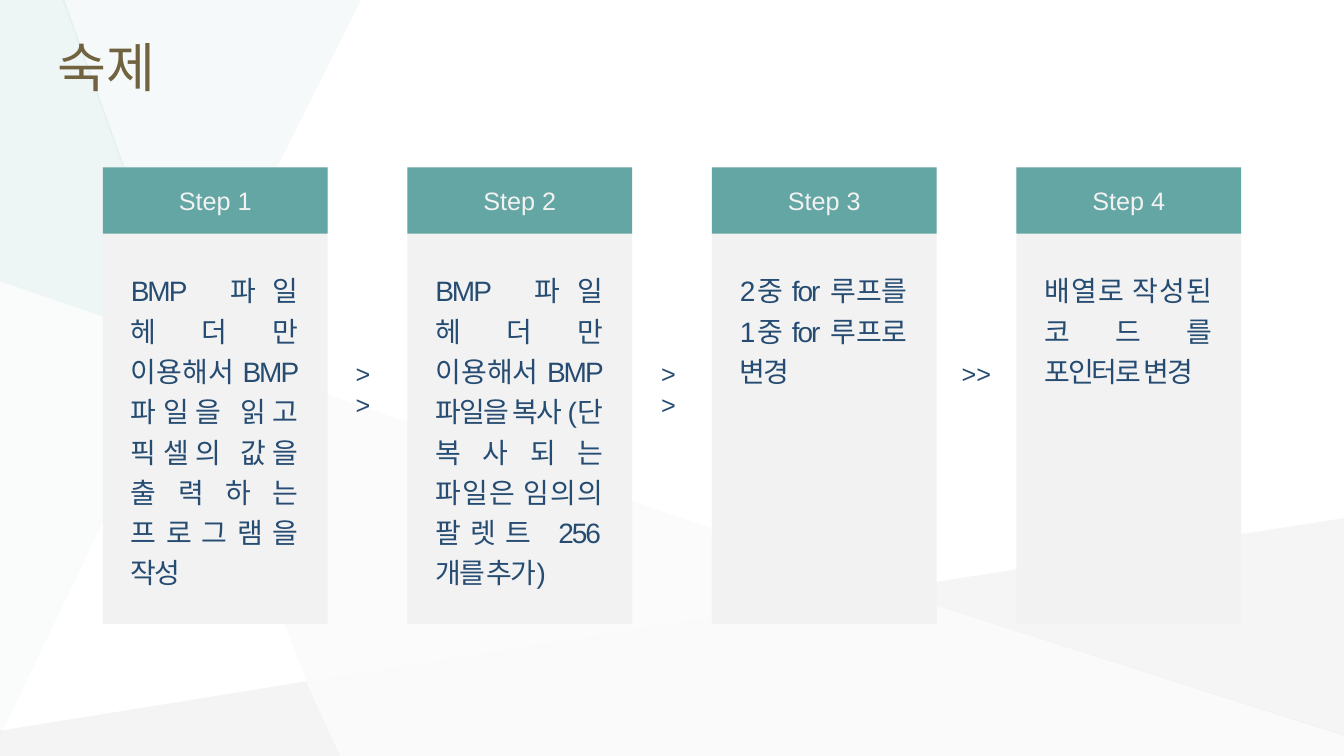
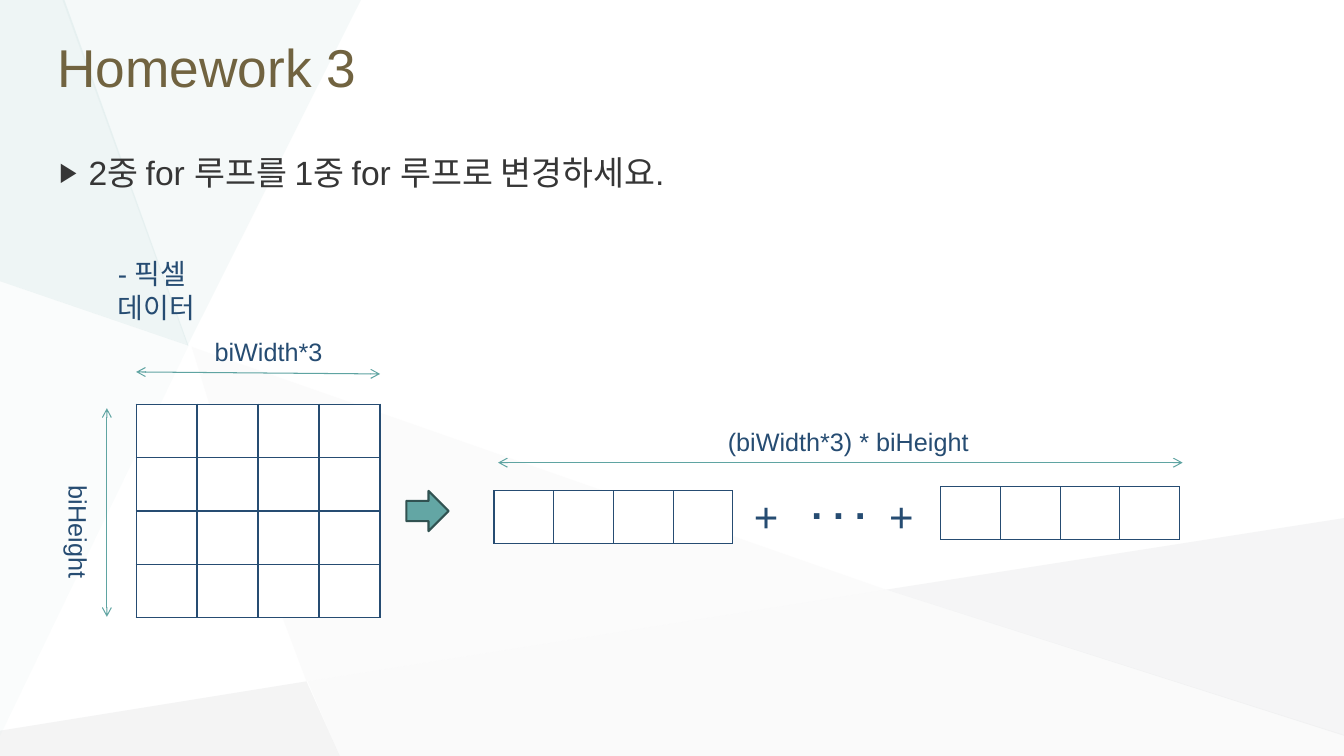
import dataclasses

import lxml.etree
import pptx
import pptx.dml.color
import pptx.enum.shapes
import pptx.enum.text
import pptx.oxml.ns
import pptx.util

Inches = pptx.util.Inches
Pt = pptx.util.Pt
qn = pptx.oxml.ns.qn
SHAPE = pptx.enum.shapes.MSO_SHAPE
ALIGN = pptx.enum.text.PP_ALIGN
ANCHOR = pptx.enum.text.MSO_ANCHOR


@dataclasses.dataclass(frozen=True)
class Theme:
    font: str = "Arial"
    title: str = "716340"
    body: str = "363636"
    navy: str = "264C72"
    teal: str = "63A6A4"
    teal_dark: str = "315251"
    measure: str = "5FA4A2"
    panel: str = "F2F2F2"
    white: str = "FFFFFF"
    title_size: float = 38
    plus_size: float = 30
    dots_size: float = 28
    body_size: float = 24
    detail_size: float = 20
    label_size: float = 18


THEME = Theme()

# Background facets: colour, opacity in percent, corner points
FACETS = [
    ("F3F2F2", 26, [(1.9, 3.44), (2.4, 5.06), (3.04, 6.76), (8.79, 5.85)]),
    ("B6B8BA", 15, [(3.04, 6.76), (0, 7.25), (0, 7.5), (3.37, 7.5)]),
    ("E0EDED", 31, [(3.58, 0), (0.62, 0), (1.86, 3.43)]),
    ("C6C8CA", 17, [(13.33, 5.14), (8.79, 5.85), (13.33, 7.3)]),
    ("B6B8BA", 6, [(8.79, 5.85), (3.05, 6.76), (3.37, 7.5), (13.33, 7.5), (13.33, 7.29)]),
    ("C1DBDB", 27, [(0.64, 0), (0, 0), (0, 2.79), (1.87, 3.43)]),
    ("C1DBDB", 8, [(0, 2.79), (0, 7.3), (1.87, 3.43)]),
]

STEPS = [
    "BMP 파일 헤더만 이용해서 BMP 파일을 읽고 픽셀의 값을 출력하는 프로그램을 작성",
    "BMP 파일 헤더만 이용해서 BMP 파일을 복사 (단 복사되는 파일은 임의의 팔렛트 256개를 추가)",
    "2중 for 루프를 1중 for 루프로 변경",
    "배열로 작성된 코드를 포인터로 변경",
]


def rgb(color):
    return pptx.dml.color.RGBColor.from_string(color)


def add_node(parent, tag, **attributes):
    return lxml.etree.SubElement(parent, qn(tag), attributes)


def paint(shape, fill, line=None, width=1.5):
    shape.shadow.inherit = False
    shape.fill.solid()
    shape.fill.fore_color.rgb = rgb(fill)
    if line:
        shape.line.color.rgb = rgb(line)
        shape.line.width = Pt(width)
    else:
        shape.line.fill.background()


def write(shape, text, size, color, align=ALIGN.LEFT, anchor=ANCHOR.TOP, bold=False):
    frame = shape.text_frame
    frame.word_wrap = True
    frame.vertical_anchor = anchor
    frame.text = text
    paragraph = frame.paragraphs[0]
    paragraph.alignment = align
    font = paragraph.runs[0].font
    font.name, font.size, font.bold = THEME.font, Pt(size), bold
    font.color.rgb = rgb(color)
    return paragraph


def add_text(slide, box, text, size, color=THEME.navy, **style):
    holder = slide.shapes.add_textbox(*map(Inches, box))
    return holder, write(holder, text, size, color, **style)


def add_block(slide, kind, box, fill, line=None):
    block = slide.shapes.add_shape(kind, *map(Inches, box))
    paint(block, fill, line)
    return block


def add_facets(slide):
    for color, opacity, points in FACETS:
        corners = [(Inches(x), Inches(y)) for x, y in points]
        builder = slide.shapes.build_freeform(*corners[0], scale=1.0)
        builder.add_line_segments(corners[1:], close=True)
        facet = builder.convert_to_shape()
        paint(facet, color)
        tint = facet.element.spPr.find(qn("a:solidFill")).find(qn("a:srgbClr"))
        add_node(tint, "a:alpha", val=str(opacity * 1000))


def start_slide(deck, title):
    slide = deck.slides.add_slide(deck.slide_layouts[6])
    add_facets(slide)
    add_text(slide, (0.47, 0.14, 12.36, 1.03), title, THEME.title_size,
             THEME.title, anchor=ANCHOR.MIDDLE)
    return slide


def add_step(slide, box, heading, detail):
    left, top, width, height = box
    add_block(slide, SHAPE.RECTANGLE, box, THEME.panel)
    header = add_block(slide, SHAPE.RECTANGLE, (left, top, width, 0.66), THEME.teal)
    write(header, heading, THEME.label_size, THEME.panel, ALIGN.CENTER, ANCHOR.MIDDLE)
    _, paragraph = add_text(slide, (left + 0.18, top + 0.94, 1.84, height - 1.2),
                            detail, THEME.detail_size, align=ALIGN.JUSTIFY)
    paragraph.line_spacing = 1.2
    paragraph.runs[0].font._element.set("spc", "-150")


def add_grid(slide, box, rows, columns):
    left, top, width, height = map(Inches, box)
    grid = slide.shapes.add_table(rows, columns, left, top, width, height).table
    for cell in grid.iter_cells():
        properties = cell._tc.get_or_add_tcPr()
        for side in ("a:lnL", "a:lnR", "a:lnT", "a:lnB"):
            border = add_node(properties, side, w=str(Pt(1)))
            add_node(add_node(border, "a:solidFill"), "a:srgbClr", val=THEME.navy)
        cell.fill.solid()
        cell.fill.fore_color.rgb = rgb(THEME.white)


def add_measure(slide, start, end):
    arrow = slide.shapes.add_connector(
        pptx.enum.shapes.MSO_CONNECTOR.STRAIGHT, *map(Inches, start + end))
    arrow.line.color.rgb = rgb(THEME.measure)
    arrow.line.width = Pt(0.75)
    properties = arrow.element.spPr
    outline = properties.find(qn("a:ln"))
    for tip in ("a:headEnd", "a:tailEnd"):
        add_node(outline, tip, type="arrow")
    add_node(properties, "a:effectLst")


def add_bullet(slide, box, text):
    _, paragraph = add_text(slide, box, text, THEME.body_size, THEME.body)
    paragraph.space_before = Pt(4.8)
    properties = paragraph._p.get_or_add_pPr()
    properties.set("marL", str(Inches(0.29)))
    properties.set("indent", str(-Inches(0.29)))
    add_node(add_node(properties, "a:buClr"), "a:srgbClr", val=THEME.body)
    add_node(properties, "a:buSzPct", val="80000")
    add_node(properties, "a:buFont", typeface=THEME.font)
    add_node(properties, "a:buChar", char="▶")


def add_pixel_grid(slide, left, top):
    """Two-dimensional pixel data with its width and height."""
    width, height = 2.42, 2.12
    add_text(slide, (left - 0.28, top - 1.51, 1.2, 0.75), "- 픽셀 데이터", THEME.detail_size)
    add_grid(slide, (left, top, width, height), 4, 4)
    add_measure(slide, (left, top - 0.32), (left + width, top - 0.3))
    add_text(slide, (left + 0.68, top - 0.72, 1.5, 0.4), "biWidth*3", THEME.label_size)
    add_measure(slide, (left - 0.29, top + 0.04), (left - 0.29, top + height - 0.01))
    label, _ = add_text(slide, (left - 0.88, top + 0.71, 0.51, 1.2), "biHeight", THEME.label_size)
    label.text_frame._txBody.bodyPr.set("vert", "eaVert")


def add_pixel_row(slide, left, top):
    """The same pixels laid end to end in one row."""
    for offset, rise in ((0, 0), (4.43, 0.04)):
        add_grid(slide, (left + offset, top - rise, 2.37, 0.52), 1, 4)
    for offset in (2.48, 3.82):
        add_text(slide, (left + offset, top - 0.05, 0.5, 0.6), "+", THEME.plus_size)
    add_text(slide, (left + 3.05, top - 0.15, 0.85, 0.57), ". . .", THEME.dots_size, bold=True)
    add_measure(slide, (left + 0.04, top - 0.28), (left + 6.83, top - 0.28))
    add_text(slide, (left + 2.22, top - 0.69, 2.8, 0.4), "(biWidth*3) * biHeight",
             THEME.label_size)


def build_steps_slide(deck):
    slide = start_slide(deck, "숙제")
    left, top, width, height = 1.02, 1.66, 2.23, 4.53
    pitch = 3.02
    for index, detail in enumerate(STEPS):
        add_step(slide, (left + index * pitch, top, width, height),
                 f"Step {index + 1}", detail)
    # Marks in the gaps; the last one is wide enough for a single line
    for index, (offset, mark_width) in enumerate([(2.41, 0.48), (2.42, 0.48), (2.38, 0.54)]):
        add_text(slide, (left + index * pitch + offset, 3.51, mark_width, 0.7),
                 ">>", THEME.label_size)


def build_homework_slide(deck):
    slide = start_slide(deck, "Homework 3")
    add_bullet(slide, (0.49, 1.46, 12.36, 0.6), "2중 for 루프를 1중 for 루프로 변경하세요.")
    add_pixel_grid(slide, 1.35, 4.01)
    add_block(slide, SHAPE.RIGHT_ARROW, (4.03, 4.87, 0.42, 0.4), THEME.teal, THEME.teal_dark)
    add_pixel_row(slide, 4.9, 4.87)


def main():
    deck = pptx.Presentation()
    deck.slide_width, deck.slide_height = Inches(13.33), Inches(7.5)
    build_steps_slide(deck)
    build_homework_slide(deck)
    deck.save("out.pptx")


if __name__ == "__main__":
    main()
